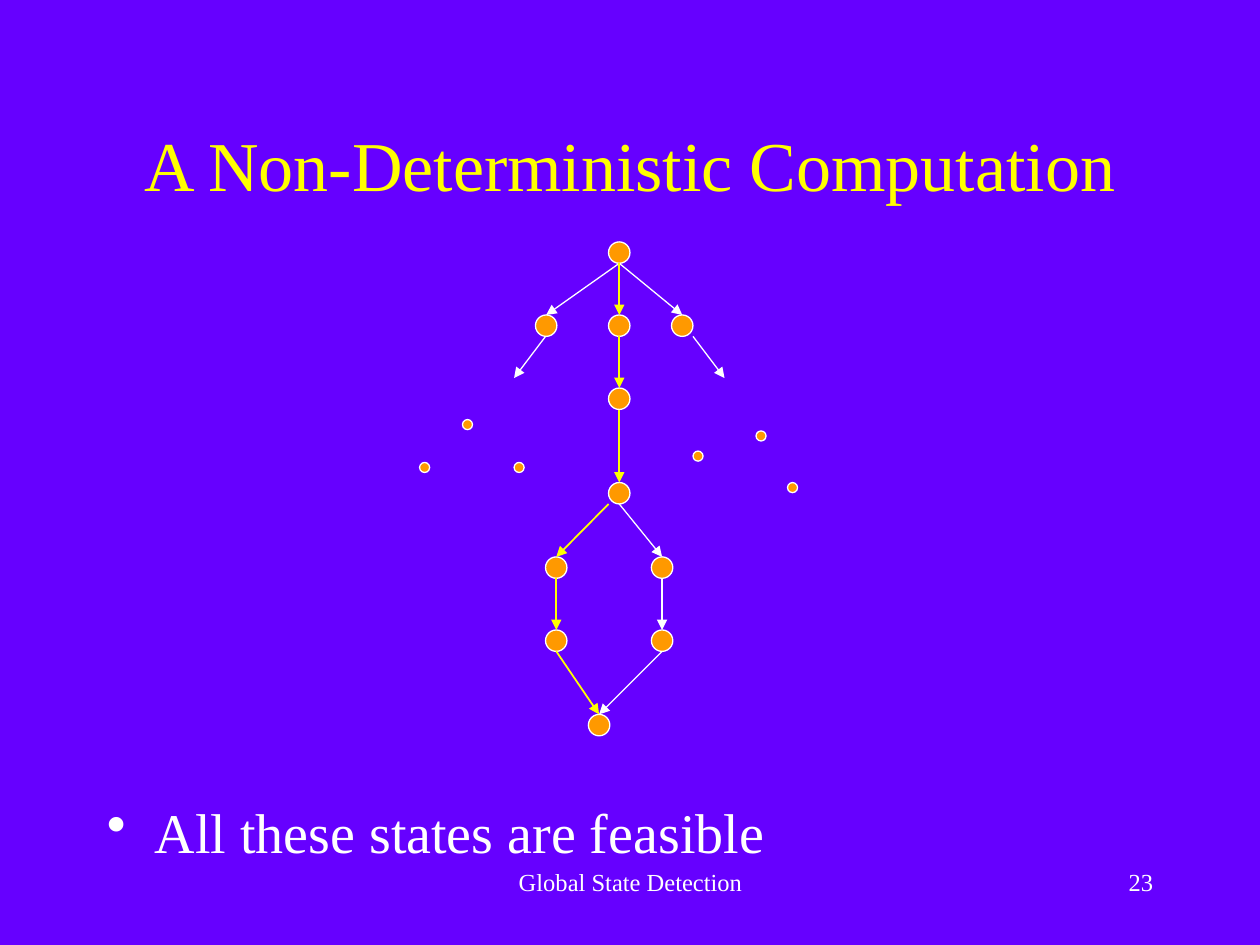
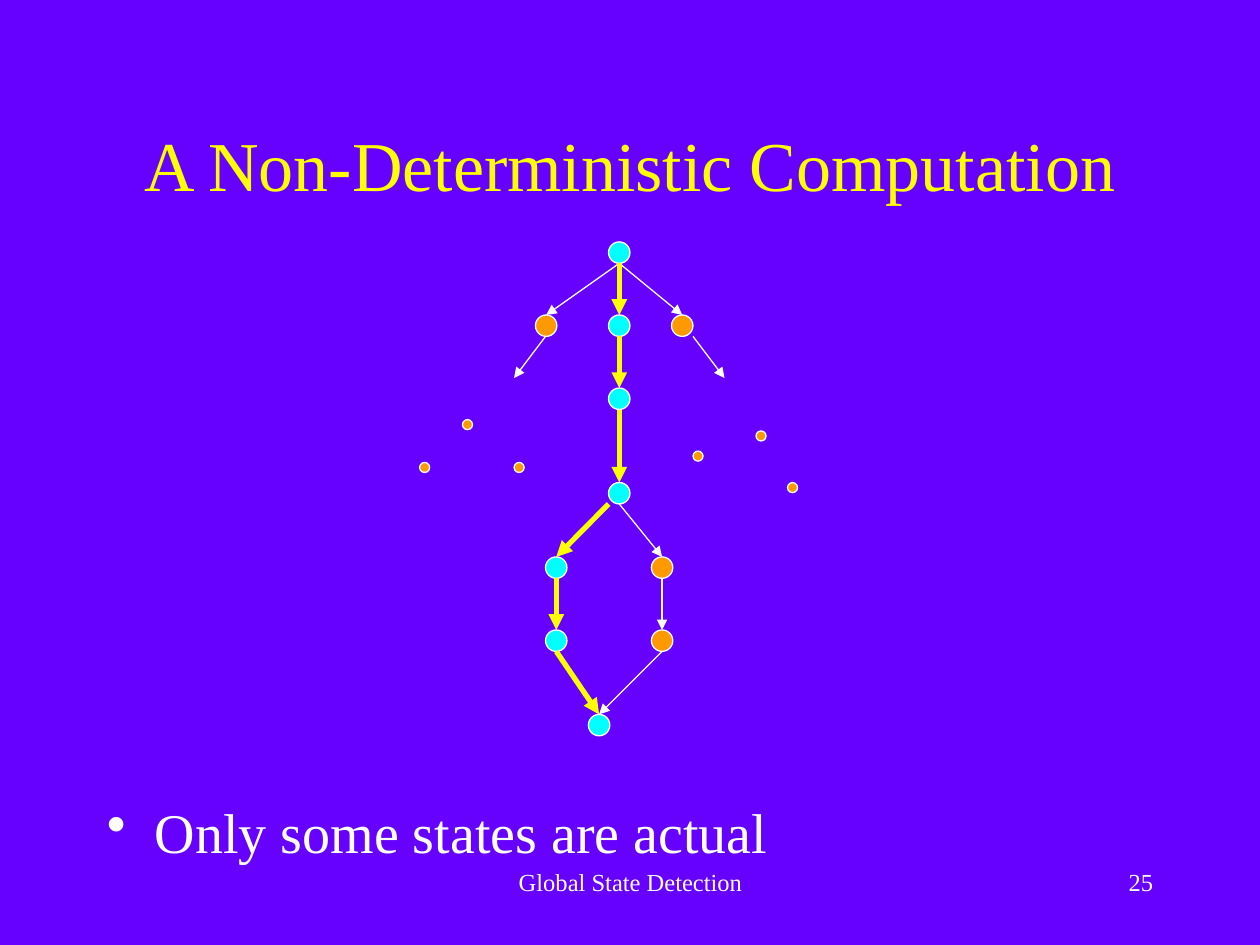
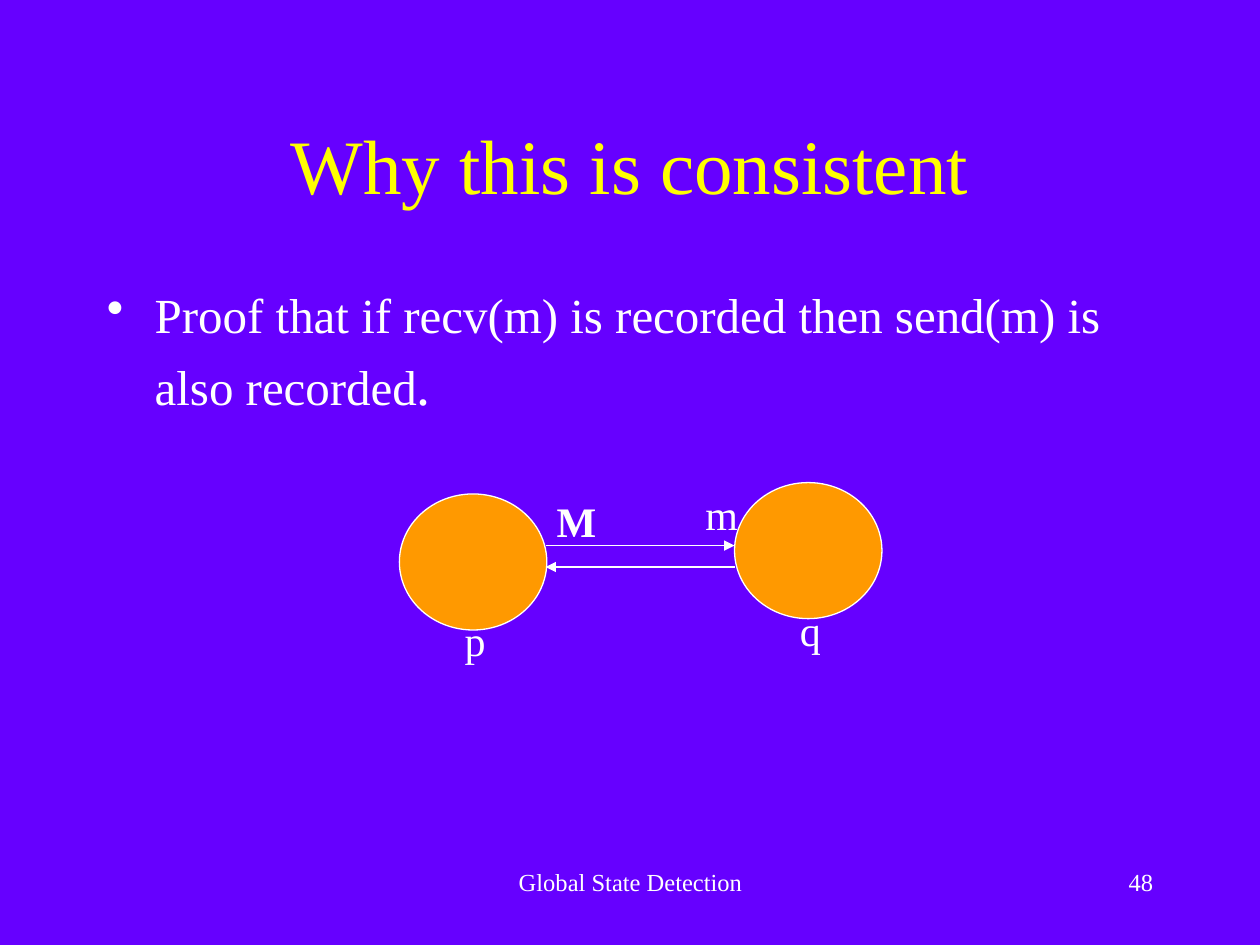
from pptx import Presentation
from pptx.dml.color import RGBColor
from pptx.enum.shapes import MSO_CONNECTOR, MSO_SHAPE
from pptx.enum.text import MSO_ANCHOR, PP_ALIGN
from pptx.oxml.ns import qn
from pptx.util import Inches, Pt
from lxml.etree import SubElement

COLORS = {"back": "6600FF", "title": "FFFF00", "text": "FFFFFF",
          "node": "FF9900", "real": "00FFFF", "path": "FFFF00"}

# State graph: left and top of each state, then the steps between states
SIZE, DOT = 0.17, 0.08
NODES = {"root": (4.83, 1.92), "left": (4.25, 2.5), "mid": (4.83, 2.5),
         "right": (5.33, 2.5), "next": (4.83, 3.08), "fork": (4.83, 3.83),
         "west": (4.33, 4.42), "east": (5.17, 4.42), "west2": (4.33, 5),
         "east2": (5.17, 5), "end": (4.67, 5.67)}
TRACE = ["root", "mid", "next", "fork", "west", "west2", "end"]
SIDES = [("root", "left"), ("root", "right"), ("fork", "east"),
         ("east", "east2"), ("east2", "end")]
STUBS = [((4.33, 2.67), (4.08, 3)), ((5.5, 2.67), (5.75, 3))]
DOTS = [(3.67, 3.33), (3.33, 3.67), (4.08, 3.67),
        (5.5, 3.58), (6, 3.42), (6.25, 3.83)]


def rgb(name):
    return RGBColor.from_string(COLORS[name])


def assign(item, values):
    for key, value in values.items():
        setattr(item, key, value)


class Deck:
    face = "Times New Roman"

    def __init__(self):
        self.prs = Presentation()
        self.prs.slide_width, self.prs.slide_height = Inches(10), Inches(7.5)
        self.slide = None

    def start(self, title, number, size=40):
        """Add a slide with its background, title and footer."""
        self.slide = self.prs.slides.add_slide(self.prs.slide_layouts[6])
        fill = self.slide.background.fill
        fill.solid()
        fill.fore_color.rgb = rgb("back")
        self.text((0.75, 0.67, 8.5, 1.25), [(title, size)], "title",
                  PP_ALIGN.CENTER, vertical_anchor=MSO_ANCHOR.MIDDLE)
        self.text((3.42, 6.83, 3.17, 0.5), [("Global State Detection", 14)],
                  align=PP_ALIGN.CENTER)
        self.text((7.17, 6.83, 2.08, 0.5), [(number, 14)],
                  align=PP_ALIGN.RIGHT)

    def text(self, box, runs, color="text", align=PP_ALIGN.LEFT, bold=False,
             **frame):
        shape = self.slide.shapes.add_textbox(*map(Inches, box))
        assign(shape.text_frame, {"word_wrap": True, **frame})
        para = shape.text_frame.paragraphs[0]
        para.alignment = align
        for words, size in runs:
            run = para.add_run()
            run.text = words
            assign(run.font, {"name": self.face, "size": Pt(size),
                              "bold": bold})
            run.font.color.rgb = rgb(color)
        return para

    def bullet(self, box, runs, **frame):
        para = self.text(box, runs, **frame)
        para.line_spacing = 1.09
        props = para._p.get_or_add_pPr()
        indent = Inches(0.38)
        props.set("marL", str(indent))
        props.set("indent", str(-indent))
        SubElement(props, qn("a:buChar")).set("char", "•")

    def circle(self, box, color="node", kind=MSO_SHAPE.FLOWCHART_CONNECTOR):
        shape = self.slide.shapes.add_shape(kind, *map(Inches, box))
        shape.shadow.inherit = False
        shape.fill.solid()
        shape.fill.fore_color.rgb = rgb(color)
        shape.line.color.rgb = rgb("text")
        shape.line.width = Pt(0.75)

    def arrow(self, start, end, color="text", width=0.75):
        link = self.slide.shapes.add_connector(
            MSO_CONNECTOR.STRAIGHT, *map(Inches, (*start, *end)))
        link.line.color.rgb = rgb(color)
        link.line.width = Pt(width)
        SubElement(link.line._get_or_add_ln(),
                   qn("a:tailEnd")).set("type", "triangle")
        SubElement(link._element.spPr, qn("a:effectLst"))

    def graph(self, color, width):
        """Draw all states, with the trace in its own colour and width."""
        def head(name):
            left, top = NODES[name]
            return left + SIZE / 2, top

        def foot(name):
            left, top = head(name)
            return left, top + SIZE

        for name, spot in NODES.items():
            self.circle((*spot, SIZE, SIZE),
                        color if name in TRACE else "node")
        for spot in DOTS:
            self.circle((*spot, DOT, DOT))
        for first, last in SIDES:
            self.arrow(foot(first), head(last))
        for start, end in STUBS:
            self.arrow(start, end)
        for first, last in zip(TRACE, TRACE[1:]):
            start = (4.83, 4) if first == "fork" else foot(first)
            self.arrow(start, head(last), "path", width)


def main():
    deck = Deck()

    # Feasible states, then actual states
    for number, words, color, width in [
            ("23", "All these states are feasible", "node", 1),
            ("25", "Only some states are actual", "real", 3)]:
        deck.start("A Non-Deterministic Computation", number)
        deck.bullet((0.75, 1.75, 8.75, 5.11), [(words, 32)],
                    vertical_anchor=MSO_ANCHOR.BOTTOM, margin_bottom=0)
        deck.graph(color, width)

    # Two processes and their messages
    deck.start("Why this is consistent", "48", 44)
    deck.bullet((0.75, 2.17, 8.5, 4.5), [
        ("Proof that if recv(m) is recorded then send(m) is also recorded",
         28), (".", 32)])
    for left, top in [(3.17, 3.92), (5.83, 3.83)]:
        deck.circle((left, top, 1.17, 1.08), kind=MSO_SHAPE.OVAL)
    deck.arrow((4.33, 4.33), (5.83, 4.33))
    deck.arrow((5.83, 4.5), (4.33, 4.5))
    for words, left, top, width in [("p", 3.59, 4.83, 0.36),
                                    ("q", 6.25, 4.75, 0.36),
                                    ("m", 5.5, 3.83, 0.46),
                                    ("M", 4.32, 3.88, 0.51)]:
        deck.text((left, top, width, 0.5), [(words, 24)], bold=words == "M",
                  word_wrap=False)

    deck.prs.save("out.pptx")


if __name__ == "__main__":
    main()
